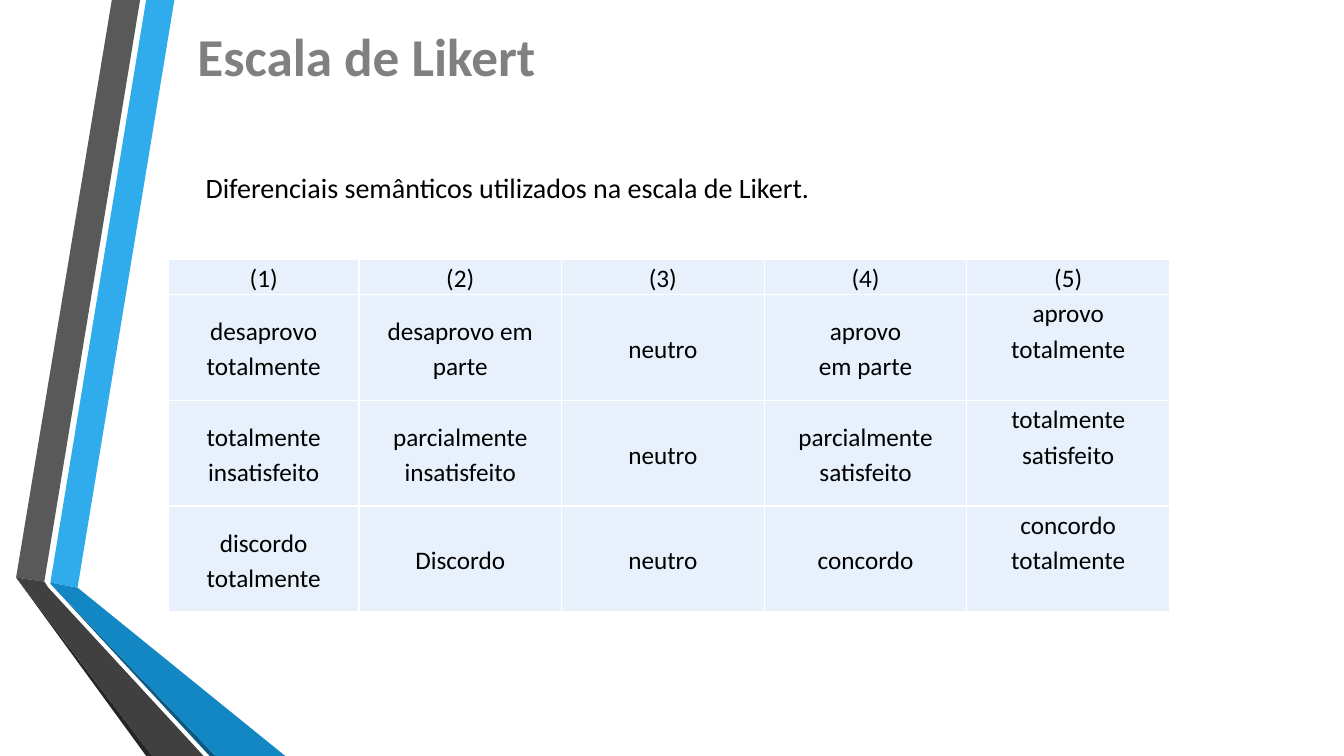
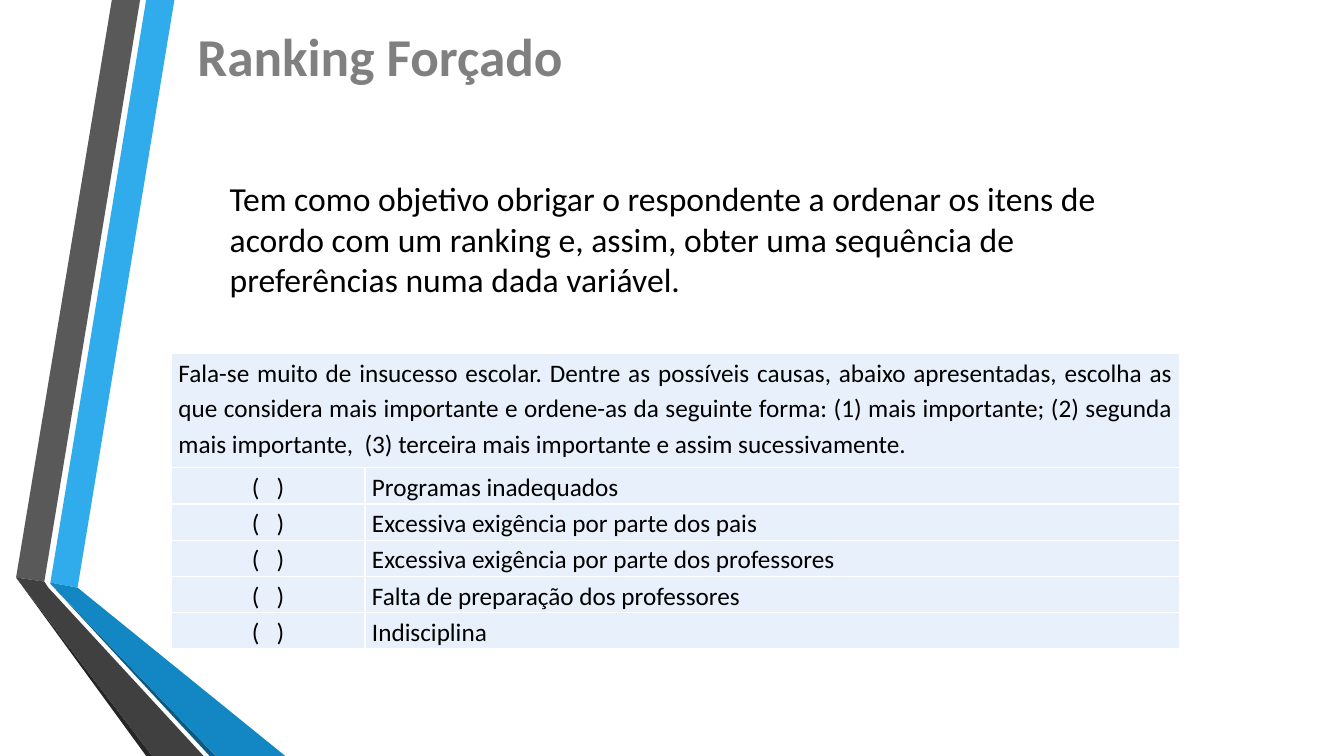
from lxml.etree import SubElement
from pptx import Presentation
from pptx.dml.color import RGBColor
from pptx.enum.text import MSO_ANCHOR as Anchor, PP_ALIGN as Align
from pptx.oxml.ns import qn
from pptx.util import Inches, Pt

FONT = "Calibri"
WHITE = RGBColor(0xFF, 0xFF, 0xFF)
BLACK = RGBColor(0x00, 0x00, 0x00)
TITLE_GREY = RGBColor(0x80, 0x80, 0x80)
CELL_BLUE = RGBColor(0xE8, 0xF1, 0xFB)
BRIGHT_BLUE = RGBColor(0x30, 0xAC, 0xEC)
MID_BLUE = RGBColor(0x12, 0x87, 0xC3)
DEEP_BLUE = RGBColor(0x0C, 0x5A, 0x82)
MID_GREY = RGBColor(0x59, 0x59, 0x59)
DARK_GREY = RGBColor(0x40, 0x40, 0x40)
DEEP_GREY = RGBColor(0x26, 0x26, 0x26)

RIBBONS = [
    (BRIGHT_BLUE, [(0.5, 5.78), (0.77, 5.83), (1.73, 0), (1.45, 0)]),
    (MID_GREY, [(1.39, 0), (1.11, 0), (0.16, 5.73), (0.44, 5.77)]),
    (DEEP_GREY, [(0.16, 5.73), (1.45, 7.5), (1.51, 7.5)]),
    (DEEP_BLUE, [(0.5, 5.79), (2.08, 7.5), (2.14, 7.5)]),
    (MID_BLUE, [(0.5, 5.79), (2.14, 7.5), (2.83, 7.5), (0.77, 5.83), (0.5, 5.78)]),
    (DARK_GREY, [(2.02, 7.5), (0.48, 5.83), (0.44, 5.77), (0.16, 5.73), (1.51, 7.5)]),
]

LIKERT_ROWS = [
    ["(1)", "(2)", "(3)", "(4)", "(5)"],
    ["desaprovo totalmente", "desaprovo em parte", "neutro",
     "aprovo\vem parte", "aprovo totalmente"],
    ["totalmente insatisfeito", "parcialmente insatisfeito", "neutro",
     "parcialmente satisfeito", "totalmente satisfeito"],
    ["discordo totalmente", "Discordo", "neutro", "concordo", "concordo totalmente"],
]

RANKING_QUESTION = (
    "Fala-se muito de insucesso escolar. Dentre as possíveis causas, abaixo "
    "apresentadas, escolha as que considera mais importante e ordene-as da seguinte "
    "forma: (1) mais importante; (2) segunda mais importante,  (3) terceira mais "
    "importante e assim sucessivamente."
)
RANKING_CAUSES = [
    "Programas inadequados",
    "Excessiva exigência por parte dos pais",
    "Excessiva exigência por parte dos professores",
    "Falta de preparação dos professores",
    "Indisciplina",
]


def style_font(para, size, color, bold=False):
    """Set the font of a whole paragraph."""
    font = para.font
    font.name, font.size, font.bold = FONT, Pt(size), bold
    font.color.rgb = color


def add_ribbons(page):
    """Draw the folded ribbons along the left edge as one group."""
    group = page.shapes.add_group_shape()
    for color, corners in RIBBONS:
        points = [(Inches(x), Inches(y)) for x, y in corners]
        outline = group.shapes.build_freeform(*points[0])
        outline.add_line_segments(points[1:], close=True)
        ribbon = outline.convert_to_shape()
        ribbon.shadow.inherit = False
        ribbon.fill.solid()
        ribbon.fill.fore_color.rgb = color
        ribbon.line.fill.background()


def add_text(page, text, left, top, width, height, size, color=BLACK, bold=False):
    """Add a wrapped, vertically centred text box and return its frame."""
    box = page.shapes.add_textbox(Inches(left), Inches(top), Inches(width), Inches(height))
    frame = box.text_frame
    frame.word_wrap = True
    frame.vertical_anchor = Anchor.MIDDLE
    frame.text = text
    style_font(frame.paragraphs[0], size, color, bold)
    return frame


def add_body(page, text, left, width, height, size):
    """Add the explanatory text, set slightly above the middle of its box."""
    frame = add_text(page, text, left, 1.55, width, height, size)
    frame.margin_bottom = Inches(0.33)


def add_page(deck, title):
    """Add a page with the ribbons and the title."""
    page = deck.slides.add_slide(deck.slide_layouts[6])
    add_ribbons(page)
    add_text(page, title, 1.86, 0.16, 9.29, 0.78, 38, TITLE_GREY, bold=True)
    return page


def add_borders(cell):
    """Give a cell thin white borders."""
    properties = cell._tc.get_or_add_tcPr()
    for side in ("a:lnL", "a:lnR", "a:lnT", "a:lnB"):
        line = SubElement(properties, qn(side), w=str(Pt(1)))
        fill = SubElement(line, qn("a:solidFill"))
        SubElement(fill, qn("a:srgbClr"), val=str(WHITE))


def add_grid(page, left, top, widths, heights):
    """Add a table of plain blue cells with white borders."""
    frame = page.shapes.add_table(
        len(heights), len(widths), Inches(left), Inches(top),
        Inches(sum(widths)), Inches(sum(heights)))
    table = frame.table
    table.first_row = table.horz_banding = False
    for column, width in zip(table.columns, widths):
        column.width = Inches(width)
    for row, height in zip(table.rows, heights):
        row.height = Inches(height)
    for cell in table.iter_cells():
        add_borders(cell)
        cell.fill.solid()
        cell.fill.fore_color.rgb = CELL_BLUE
        cell.margin_left = cell.margin_right = Inches(0.07)
        cell.margin_top = cell.margin_bottom = 0
    return table


def fill_cell(cell, text, align=Align.CENTER, anchor=Anchor.TOP):
    """Write the text of one cell."""
    cell.text = text
    cell.vertical_anchor = anchor
    para = cell.text_frame.paragraphs[0]
    para.alignment = align
    para.line_spacing = 1.15
    style_font(para, 18, BLACK)


def build_likert(deck):
    """Build the page on the Likert scale."""
    page = add_page(deck, "Escala de Likert")
    add_body(page, "Diferenciais semânticos utilizados na escala de Likert.",
             1.94, 9.45, 0.9, 20)
    table = add_grid(page, 1.67, 2.57, [1.89] + [2.01] * 4, [0.35] + [1.05] * 3)
    last = len(LIKERT_ROWS[0]) - 1
    for row, labels in enumerate(LIKERT_ROWS):
        for column, label in enumerate(labels):
            at_top = row == 0 or column == last
            fill_cell(table.cell(row, column), label,
                      anchor=Anchor.TOP if at_top else Anchor.MIDDLE)


def build_ranking(deck):
    """Build the page on forced ranking."""
    page = add_page(deck, "Ranking Forçado")
    add_body(page, "Tem como objetivo obrigar o respondente a ordenar os itens de acordo "
             "com um ranking e, assim, obter uma sequência de preferências numa dada "
             "variável.", 2.18, 8.82, 1.92, 24)
    table = add_grid(page, 1.7, 3.51, [1.92, 8.08], [1.13] + [0.36] * len(RANKING_CAUSES))
    question = table.cell(0, 0)
    question.merge(table.cell(0, 1))
    fill_cell(question, RANKING_QUESTION, Align.JUSTIFY)
    for row, cause in enumerate(RANKING_CAUSES, start=1):
        fill_cell(table.cell(row, 0), "(   )")
        fill_cell(table.cell(row, 1), cause, Align.JUSTIFY)


def main():
    """Build the deck and save it."""
    deck = Presentation()
    deck.slide_width, deck.slide_height = Inches(13.33), Inches(7.5)
    build_likert(deck)
    build_ranking(deck)
    deck.save("out.pptx")


main()
